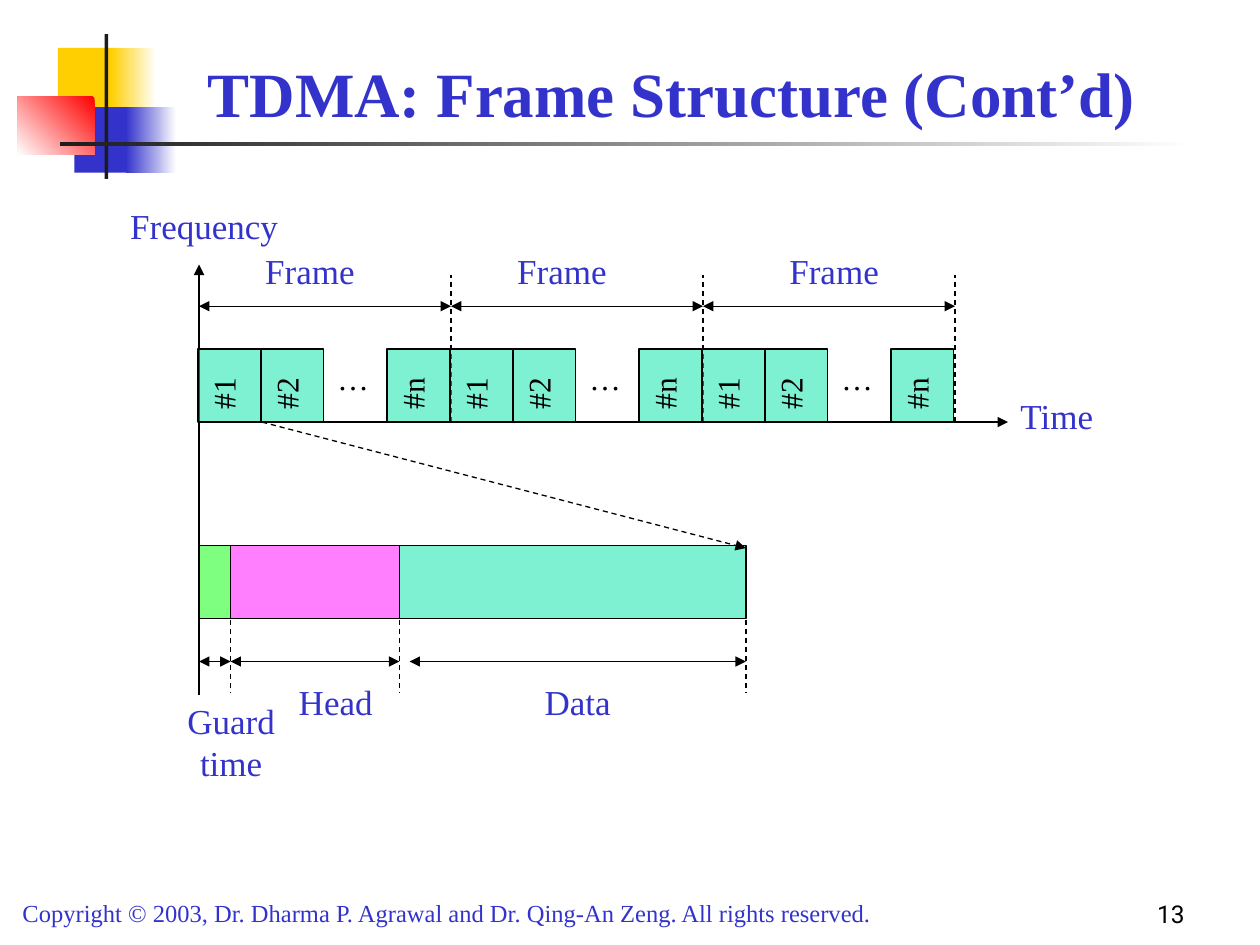
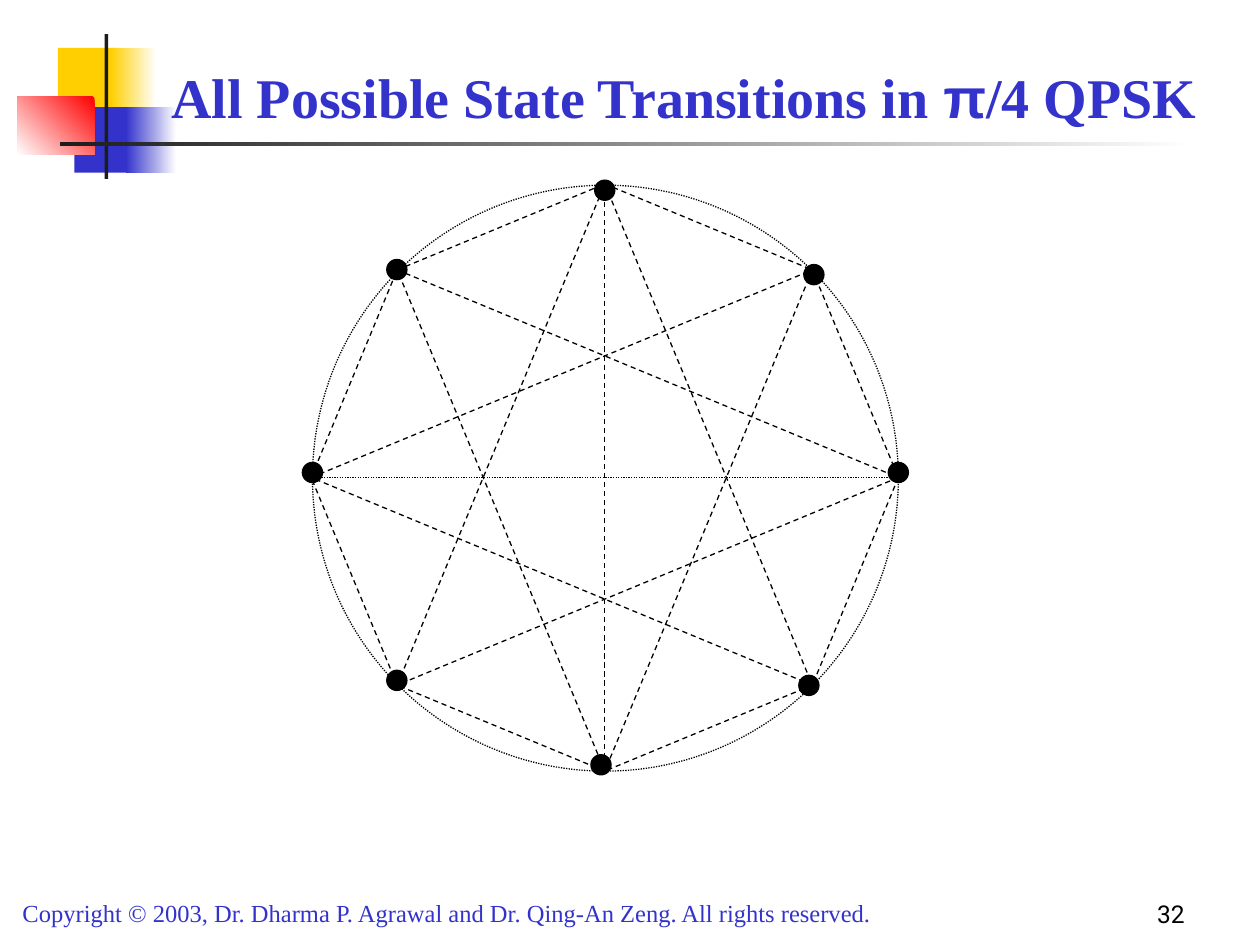
import math

from lxml import etree
from pptx import Presentation
from pptx import util as u
from pptx.dml.color import RGBColor
from pptx.enum import dml, shapes, text
from pptx.oxml import ns

COLORS = {
    "blue": "3333CC", "yellow": "FFCF01", "red": "FF0000", "ink": "1C1C1C",
    "black": "000000", "white": "FFFFFF", "slot": "00E4A8",
    "guard": "00FF00", "head": "FF00FF",
}
SERIF = "Times New Roman"
COPYRIGHT = ("Copyright © 2003, Dr. Dharma P. Agrawal and Dr. Qing-An Zeng. "
             "All rights reserved.")
LEFT, CENTER, RIGHT = (text.PP_ALIGN.LEFT, text.PP_ALIGN.CENTER,
                       text.PP_ALIGN.RIGHT)
RECT, OVAL = shapes.MSO_SHAPE.RECTANGLE, shapes.MSO_SHAPE.OVAL
DASH, DOT = dml.MSO_LINE.DASH, dml.MSO_LINE.ROUND_DOT


def rgb(name):
    return RGBColor.from_string(COLORS[name])


def inches(values):
    return [u.Inches(value) for value in values]


def style_font(font, size, color, name=SERIF, bold=False):
    font.size, font.name, font.bold = u.Pt(size), name, bold
    font.color.rgb = rgb(color)


def style_line(line, color="black", dash=None):
    line.width = u.Pt(0.75)
    line.color.rgb = rgb(color)
    if dash:
        line.dash_style = dash


def add_block(canvas, place, fill, kind=RECT, outline=False, dash=None,
              alpha=None):
    block = canvas.shapes.add_shape(kind, *inches(place))
    block.shadow.inherit = False
    block.fill.solid()
    block.fill.fore_color.rgb = rgb(fill)
    if alpha:
        color = block.element.spPr.find(".//" + ns.qn("a:srgbClr"))
        etree.SubElement(color, ns.qn("a:alpha"), val=str(alpha * 1000))
    if outline:
        style_line(block.line, dash=dash)
    else:
        block.line.fill.background()
    return block


def add_fade(canvas, place, start, end, angle=180):
    fade = add_block(canvas, place, start)
    fade.fill.gradient()
    fade.fill.gradient_angle = angle
    for stop, color in zip(fade.fill.gradient_stops, (start, end)):
        stop.color.rgb = rgb(color)
    return fade


def add_label(canvas, place, words, size=20, color="blue", align=CENTER,
              font=SERIF, anchor=text.MSO_ANCHOR.TOP):
    box = canvas.shapes.add_textbox(*inches(place))
    frame = box.text_frame
    frame.word_wrap = True
    frame.vertical_anchor = anchor
    frame.text = words
    para = frame.paragraphs[0]
    para.alignment = align
    style_font(para.runs[0].font, size, color, font)
    return box


def add_line(canvas, start, end, dash=None, arrows=()):
    line = canvas.shapes.add_connector(
        shapes.MSO_CONNECTOR.STRAIGHT, *inches(start + end))
    style_line(line.line, dash=dash)
    properties = line.element.spPr
    for arrow in arrows:
        etree.SubElement(properties.find(ns.qn("a:ln")), ns.qn(f"a:{arrow}"),
                         type="triangle")
    etree.SubElement(properties, ns.qn("a:effectLst"))


def add_slot(page, left, words):
    slot = add_block(page, (left, 2.77, 0.5, 0.58), "slot", outline=True,
                     alpha=50)
    slot.rotation = 180
    frame = slot.text_frame
    frame.margin_left = frame.margin_right = u.Inches(0.05)
    frame.margin_top = frame.margin_bottom = u.Inches(0.1)
    frame.vertical_anchor = text.MSO_ANCHOR.TOP
    body = slot.element.txBody.find(ns.qn("a:bodyPr"))
    body.set("vert", "eaVert")
    frame.text = words
    para = frame.paragraphs[0]
    para.alignment = CENTER
    style_font(para.runs[0].font, 18, "black")


def set_title(page, place, spans, size, align):
    title = page.shapes.title
    title.left, title.top, title.width, title.height = inches(place)
    frame = title.text_frame
    frame.word_wrap = True
    frame.auto_size = text.MSO_AUTO_SIZE.NONE
    frame.vertical_anchor = text.MSO_ANCHOR.BOTTOM
    para = frame.paragraphs[0]
    para.alignment = align
    for words, font in spans:
        span = para.add_run()
        span.text = words
        style_font(span.font, size, "blue", font, bold=True)


def add_page_number(page, number):
    add_label(page, (7.42, 6.92, 2.08, 0.5), str(number), 14, "black", RIGHT,
              "Roboto", text.MSO_ANCHOR.BOTTOM)


def decorate_layout(layout, page):
    decorations = [
        add_block(page, (0.46, 0.38, 0.48, 0.52), "yellow"),
        add_fade(page, (0.88, 0.38, 0.36, 0.52), "white", "yellow"),
        add_block(page, (0.59, 0.85, 0.46, 0.52), "blue"),
        add_fade(page, (1, 0.85, 0.4, 0.52), "white", "blue"),
        add_fade(page, (0.14, 0.77, 0.61, 0.46), "red", "white", 225),
        add_block(page, (0.83, 0.27, 0.03, 1.15), "ink"),
        add_fade(page, (0.48, 1.13, 9, 0.03), "white", "ink"),
        add_label(page, (0.08, 7.08, 7.58, 0.34), COPYRIGHT, 14, align=LEFT),
    ]
    for number, decoration in enumerate(decorations, 20):
        decoration.element.nvSpPr.cNvPr.set("id", str(number))
        layout.shapes.element.append(decoration.element)


def draw_frames(page):
    add_line(page, (1.58, 3.35), (8, 3.35), arrows=["tailEnd"])
    add_line(page, (1.58, 5.52), (1.58, 2.1), arrows=["tailEnd"])
    add_label(page, (8, 3.08, 0.92, 0.44), "Time", align=LEFT)
    add_label(page, (0.83, 1.57, 1.58, 0.44), "Frequency")
    for index, label_left in enumerate((1.92, 3.92, 6.08)):
        start = 1.58 + 2 * index
        end = start + 2
        for offset, words in ((0, "#1"), (0.5, "#2"), (1.5, "#n")):
            add_slot(page, start - 0.01 + offset, words)
        add_label(page, (start + 1, 2.8, 0.5, 0.4), "…", 18, "black", LEFT)
        add_line(page, (end, 3.35), (end, 2.18), DASH)
        add_line(page, (start, 2.43), (end, 2.43),
                 arrows=["headEnd", "tailEnd"])
        add_label(page, (label_left, 1.93, 1.08, 0.44), "Frame")


def draw_slot_detail(page):
    edges = (1.58, 1.83, 3.17, 5.92)
    for left, right, fill in zip(edges, edges[1:], ("guard", "head", "slot")):
        add_block(page, (left, 4.33, right - left, 0.58), fill, outline=True,
                  alpha=50)
        arrow_left = 3.25 if fill == "slot" else left
        add_line(page, (arrow_left, 5.25), (right, 5.25),
                 arrows=["headEnd", "tailEnd"])
    for edge in edges:
        add_line(page, (edge, 4.92), (edge, 5.5), DASH)
    add_line(page, (2.08, 3.35), (5.92, 4.35), DASH, ["tailEnd"])
    add_label(page, (2.08, 5.35, 1.17, 0.44), "Head")
    add_label(page, (4, 5.35, 1.17, 0.44), "Data")
    add_label(page, (1.25, 5.5, 1.17, 0.77), "Guard time")


def draw_constellation(page):
    group = page.shapes.add_group_shape()
    add_block(group, (2.48, 1.47, 4.65, 4.65), "white", OVAL, True, DOT)
    states = [(4.8 + 2.33 * math.sin(turn * math.pi / 4),
               3.79 - 2.33 * math.cos(turn * math.pi / 4))
              for turn in range(8)]
    add_line(group, states[6], states[2], DOT)
    add_line(group, states[0], states[4], DASH)
    for step in (1, 3):
        for index, state in enumerate(states):
            add_line(group, state, states[(index + step) % 8], DASH)
    dots = ((4.8, 1.51), (6.46, 2.18), (7.13, 3.75), (6.42, 5.44),
            (4.77, 6.07), (3.15, 5.4), (2.48, 3.75), (3.15, 2.14))
    for x, y in dots:
        add_block(group, (x - 0.08, y - 0.08, 0.16, 0.16), "black", OVAL, True)


def main():
    deck = Presentation()
    deck.slide_width, deck.slide_height = inches((10, 7.5))
    layout = deck.slide_layouts.get_by_name("Title Only")

    page = deck.slides.add_slide(layout)
    decorate_layout(layout, page)
    set_title(page, (1.08, 0.25, 8.5, 0.83),
              [("TDMA: Frame Structure (Cont’d)", SERIF)], 36, CENTER)
    draw_frames(page)
    draw_slot_detail(page)
    add_page_number(page, 13)

    page = deck.slides.add_slide(layout)
    set_title(page, (1.26, 0.33, 8.52, 0.75),
              [("All Possible State Transitions in ", SERIF), ("π", "Arial"),
               ("/4 QPSK", SERIF)], 32, LEFT)
    draw_constellation(page)
    add_page_number(page, 32)

    deck.save("out.pptx")


if __name__ == "__main__":
    main()
